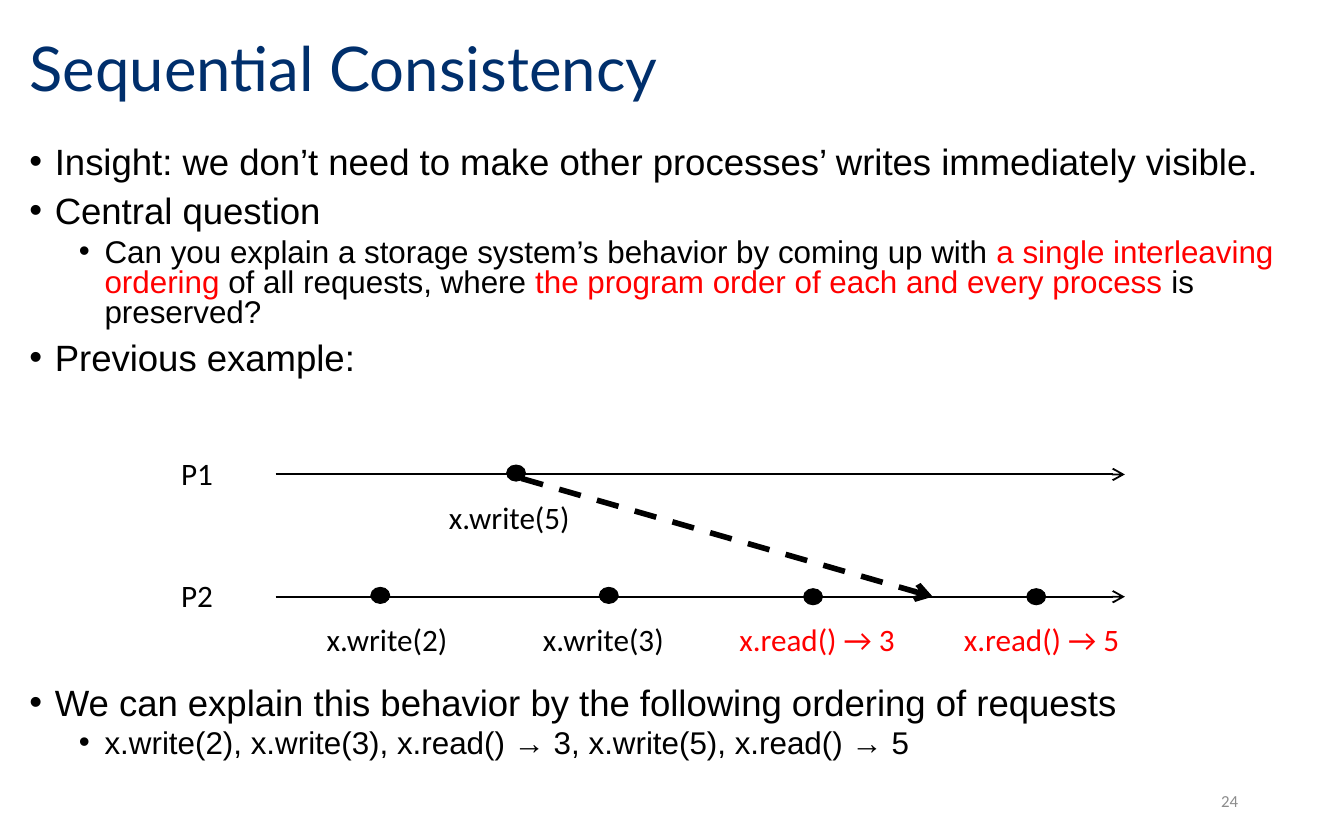
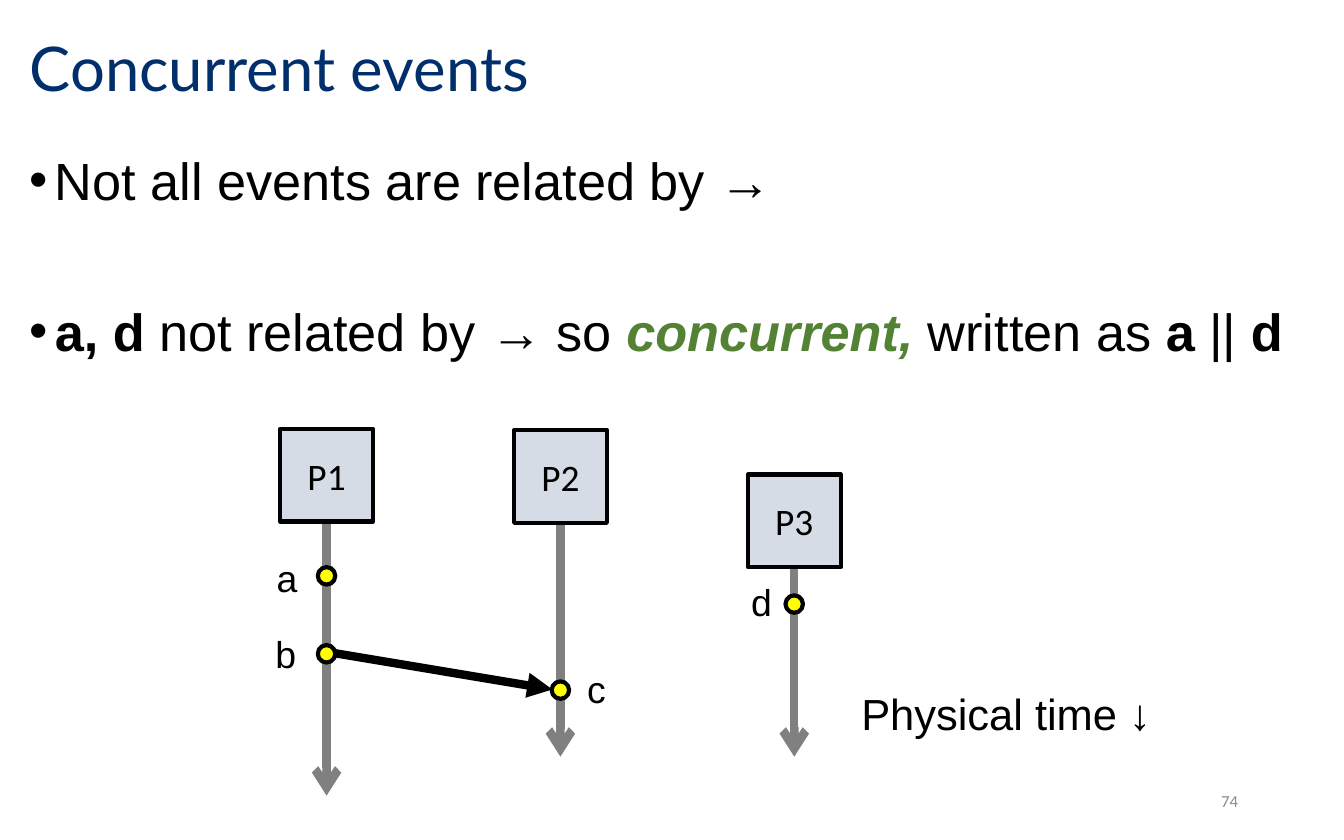
import pptx
import pptx.util
from lxml import etree
from pptx.dml.color import RGBColor
from pptx.enum.dml import MSO_LINE
from pptx.enum.shapes import MSO_CONNECTOR, MSO_SHAPE
from pptx.enum.text import MSO_ANCHOR, MSO_AUTO_SIZE, PP_ALIGN
from pptx.oxml.ns import qn

Pt = pptx.util.Pt


class Theme:
    navy, black, red, green = "002F6C", "000000", "FF0000", "548235"
    gray, muted, yellow, pale = "808080", "8C8C8C", "FFFF00", "D6DCE5"
    title_font, body_font, label_font = "Lato", "Arial", "Calibri"
    title, number, event, node, axis = 33, 9, 16.7, 20, 23.3
    left, center, right = PP_ALIGN.LEFT, PP_ALIGN.CENTER, PP_ALIGN.RIGHT


T = Theme
CELL = pptx.util.Inches(0.1)  # the slide is 100 columns by 62.5 rows


def grid(*cells):
    return [round(n * CELL) for n in cells]


def style(p, size, font, color=T.black, align=T.left):
    p.alignment = align
    for r in p.runs:
        r.font.size, r.font.name = Pt(size), font
        r.font.color.rgb = RGBColor.from_string(color)


# Sequential consistency: two horizontal timelines
p1_y, p2_y = 35.3, 44.4
consistency = dict(
    title="Sequential Consistency", number="24", body_rows=50.8,
    sizes=(19.6, 16.8), spacing=0.8, wrap=True,
    # level, space before, runs of (text, color, bold, italic)
    body=[
        (0, 0, [("Insight: we don’t need to make other processes’ writes immediately visible.",)]),
        (0, 7.5, [("Central question",)]),
        (1, 3.8, [("Can you explain a storage system’s behavior by coming up with ",),
                  ("a single interleaving ordering", T.red),
                  (" of all requests, where ",),
                  ("the program order of each and every process", T.red),
                  (" is preserved?",)]),
        (0, 7.5, [("Previous example:",)]),
        (0, 166, [("We can explain this behavior by the following ordering of requests",)]),
        (1, 3.8, [("x.write(2), x.write(3), x.read() → 3, x.write(5), x.read() → 5",)]),
    ],
    # from, to, color, width, arrowhead, dashed
    lines=[(20.5, y, 83.7, y, T.black, 1, "arrow", False) for y in (p1_y, p2_y)]
    + [(38.8, 35.6, 69.4, p2_y, T.black, 3, "arrow", True)],
    boxes=[],
    dot=(1.4, 1.2, T.black, 0.5),
    dots=[(38.4, 35.2), (28.3, 44.3), (45.3, 44.3), (60.5, 44.4), (77.1, 44.4)],
    # left, top, width, height, text, size, font, color, alignment
    labels=[(12.5, y - 2, 8, 3.8, name, T.event, T.label_font, T.black, T.left)
            for name, y in (("P1", p1_y), ("P2", p2_y))]
    + [(x, y + 1.3, 28.6, 3.8, event, T.event, T.label_font, color, T.center)
       for x, y, event, color in (
           (23.6, p1_y, "x.write(5)", T.black),
           (14.5, p2_y, "x.write(2)", T.black),
           (30.6, p2_y, "x.write(3)", T.black),
           (46.5, p2_y, "x.read() → 3", T.red),
           (63.2, p2_y, "x.read() → 5", T.red))],
)

# Concurrent events: three vertical lifelines
side = 6.9
lane_x = [24.3 + 17.4 * i for i in range(3)]
box_top = [31.9, 32, 35.3]
life_end = [59.2, 56.3, 56.3]
concurrent = dict(
    title="Concurrent events", number="74", body_rows=45.8,
    sizes=(28,), spacing=1.0, wrap=False,
    body=[
        (0, 0, [("Not all events are related by →",)]),
        (0, 47.5, [("a, d", T.black, True), (" not related by → so ",),
                   ("concurrent, ", T.green, True, True), ("written as ",),
                   ("a", T.black, True), (" || ",), ("d", T.black, True)]),
    ],
    lines=[(x, top + side, x, end, T.gray, 4.5, "arrow", False)
           for x, top, end in zip(lane_x, box_top, life_end)]
    + [(24.9, 48.6, 41.1, 51.3, T.black, 4.5, "triangle", False)],
    boxes=[(x - side / 2, top, f"P{i}")
           for i, (x, top) in enumerate(zip(lane_x, box_top), 1)],
    dot=(1.3, 1.3, T.yellow, 2.25),
    dots=[(lane_x[0], 42.85), (lane_x[0], 48.65), (lane_x[1], 51.35), (lane_x[2], 44.95)],
    labels=[(x, y, 3.6, 4.4, name, T.node, T.body_font, T.black, T.left)
            for x, y, name in ((19.6, 40.8, "a"), (19.5, 46.5, "b"),
                               (42.7, 49.1, "c"), (54.9, 42.6, "d"))]
    + [(63.1, 50.6, 23.8, 4.9, "Physical time ↓", T.axis, T.body_font, T.black, T.left)],
)

prs = pptx.Presentation()
prs.slide_width, prs.slide_height = grid(100, 62.5)

for page in (consistency, concurrent):
    s = prs.slides.add_slide(prs.slide_layouts[5])

    # Title
    title = s.shapes.title
    title.left, title.top, title.width, title.height = grid(1.2, 1, 85.2, 8.6)
    tf = title.text_frame
    tf.text = page["title"]
    tf.auto_size, tf.vertical_anchor = MSO_AUTO_SIZE.NONE, MSO_ANCHOR.MIDDLE
    tf.paragraphs[0].line_spacing = 0.9
    style(tf.paragraphs[0], T.title, T.title_font, T.navy)

    # Bulleted body
    tf = s.shapes.add_textbox(*grid(1.2, 10.5, 97.7, page["body_rows"])).text_frame
    tf.word_wrap = True
    for i, (level, before, runs) in enumerate(page["body"]):
        p = tf.paragraphs[0] if i == 0 else tf.add_paragraph()
        p.level, p.line_spacing, p.space_before = level, page["spacing"], Pt(before)
        pPr = p._p.get_or_add_pPr()
        margin, indent = grid((1.9, 5.6)[level], -1.9)
        pPr.set("marL", str(margin))
        pPr.set("indent", str(indent))
        etree.SubElement(pPr, qn("a:buFont")).set("typeface", T.body_font)
        etree.SubElement(pPr, qn("a:buChar")).set("char", "•")
        for text, *look in runs:
            p.add_run().text = text
        style(p, page["sizes"][level], T.body_font)
        for r, (text, *look) in zip(p.runs, runs):
            color, bold, italic = (look + [T.black, False, False][len(look):])
            r.font.color.rgb = RGBColor.from_string(color)
            r.font.bold, r.font.italic = bold, italic

    # Slide number
    tf = s.shapes.add_textbox(*grid(70.6, 57.9, 22.5, 3.3)).text_frame
    tf.text = page["number"]
    tf.word_wrap, tf.vertical_anchor = True, MSO_ANCHOR.MIDDLE
    style(tf.paragraphs[0], T.number, T.label_font, T.muted, T.right)

    # Timelines and messages
    lines = []
    for x1, y1, x2, y2, color, width, head, dashed in page["lines"]:
        c = s.shapes.add_connector(MSO_CONNECTOR.STRAIGHT, *grid(x1, y1, x2, y2))
        c.line.color.rgb = RGBColor.from_string(color)
        c.line.width = Pt(width)
        if dashed:
            c.line.dash_style = MSO_LINE.DASH
        spPr = c._element.spPr
        etree.SubElement(spPr.find(qn("a:ln")), qn("a:tailEnd")).set("type", head)
        etree.SubElement(spPr, qn("a:effectLst"))
        lines.append(c)

    # Process boxes, each joined to its lifeline
    for (x, y, name), c in zip(page["boxes"], lines):
        sp = s.shapes.add_shape(MSO_SHAPE.FLOWCHART_PROCESS, *grid(x, y, side, side))
        sp.shadow.inherit = False
        sp.fill.solid()
        sp.fill.fore_color.rgb = RGBColor.from_string(T.pale)
        sp.line.color.rgb = RGBColor.from_string(T.black)
        sp.line.width = Pt(2.25)
        tf = sp.text_frame
        tf.text = name
        tf.vertical_anchor = MSO_ANCHOR.MIDDLE
        tf.margin_left, tf.margin_top, tf.margin_right, tf.margin_bottom = grid(0.8, 0.4, 0.8, 0.4)
        style(tf.paragraphs[0], T.node, T.label_font, align=T.center)
        c.begin_connect(sp, 2)

    # Event dots
    w, h, fill, outline = page["dot"]
    for x, y in page["dots"]:
        sp = s.shapes.add_shape(MSO_SHAPE.OVAL, *grid(x - w / 2, y - h / 2, w, h))
        sp.shadow.inherit = False
        sp.fill.solid()
        sp.fill.fore_color.rgb = RGBColor.from_string(fill)
        sp.line.color.rgb = RGBColor.from_string(T.black)
        sp.line.width = Pt(outline)

    # Labels
    for x, y, w, h, text, size, font, color, align in page["labels"]:
        tf = s.shapes.add_textbox(*grid(x, y, w, h)).text_frame
        tf.text = text
        tf.word_wrap, tf.auto_size = page["wrap"], MSO_AUTO_SIZE.SHAPE_TO_FIT_TEXT
        style(tf.paragraphs[0], size, font, color, align)

prs.save("out.pptx")
